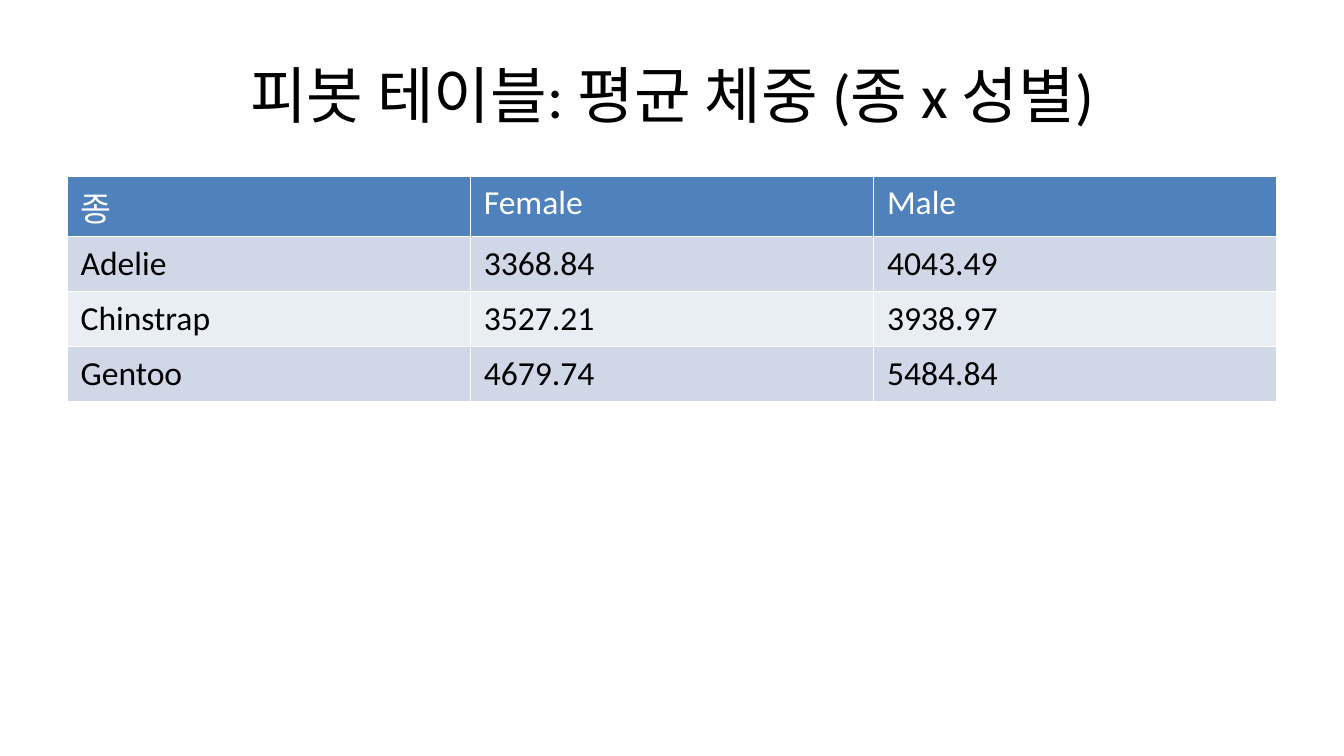
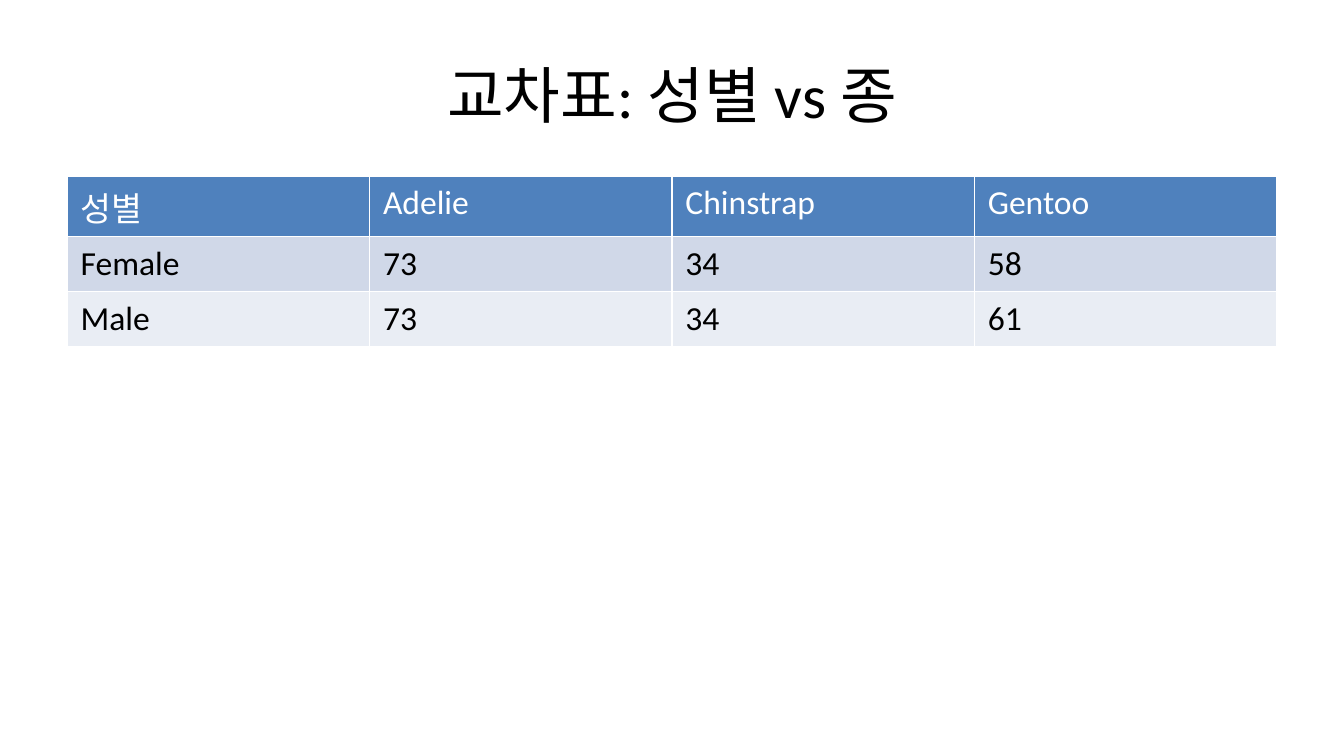
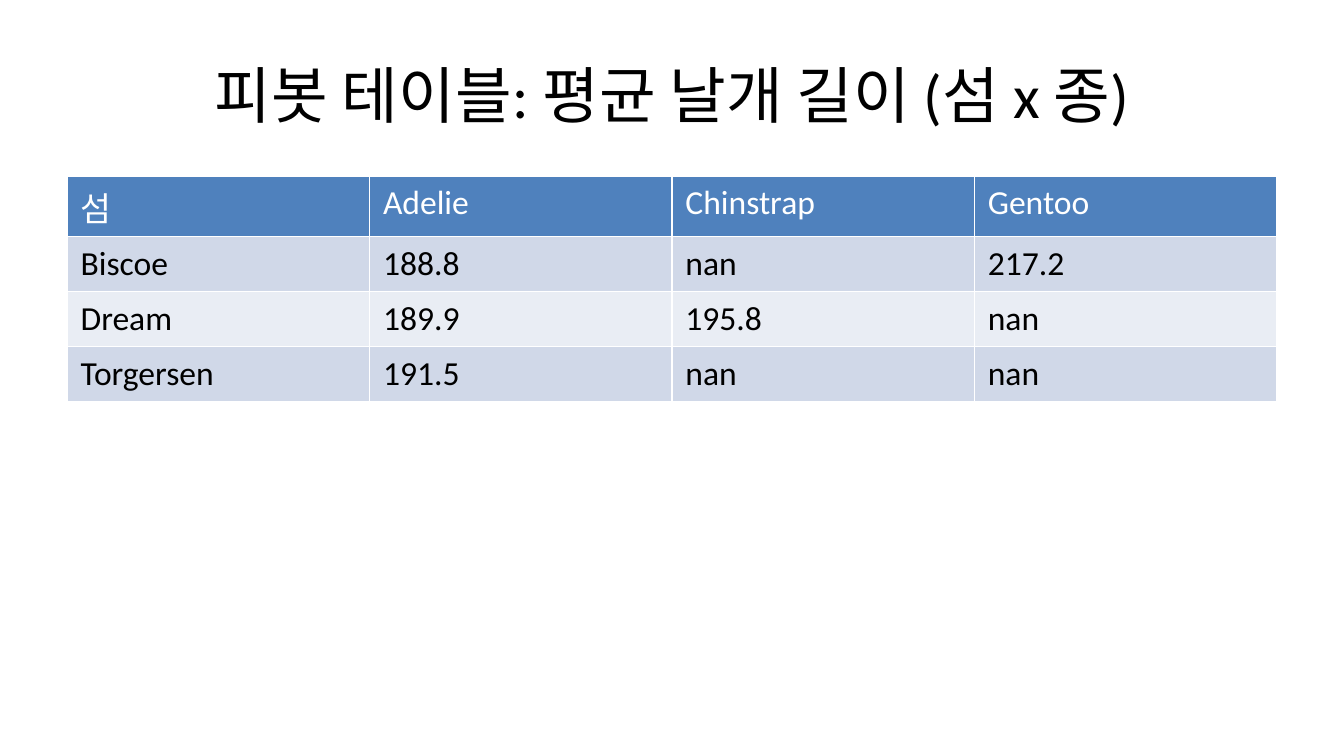
from dataclasses import dataclass

from pptx import Presentation
from pptx.dml.color import RGBColor
from pptx.enum.text import MSO_ANCHOR, PP_ALIGN
from pptx.util import Inches, Pt


@dataclass(frozen=True)
class Theme:
    font: str = "Calibri"
    title_size: int = 33
    table_size: int = 18
    text: str = "000000"
    header_text: str = "FFFFFF"
    header_fill: str = "4F81BD"
    band_fills: tuple = ("D0D8E8", "E9EDF4")


class DeckBuilder:
    LEFT, WIDTH = Inches(0.5), Inches(9)
    HEADER_HEIGHT, ROW_HEIGHT = Inches(0.45), Inches(0.41)

    def __init__(self, theme):
        self.theme = theme
        self.deck = Presentation()
        self.deck.slide_width = Inches(10)
        self.deck.slide_height = Inches(10) * 9 // 16
        self.page = None

    def add_page(self):
        blank_layout = self.deck.slide_layouts[6]
        self.page = self.deck.slides.add_slide(blank_layout)

    def style_text(self, para, size, color):
        for span in para.runs:
            span.font.name = self.theme.font
            span.font.size = Pt(size)
            span.font.bold = False
            span.font.color.rgb = RGBColor.from_string(color)

    def add_title(self, text):
        box = self.page.shapes.add_textbox(self.LEFT, Inches(0.23), self.WIDTH, Inches(0.94))
        frame = box.text_frame
        frame.word_wrap = True
        frame.vertical_anchor = MSO_ANCHOR.MIDDLE
        frame.text = text
        para = frame.paragraphs[0]
        para.alignment = PP_ALIGN.CENTER
        self.style_text(para, self.theme.title_size, self.theme.text)

    def add_table(self, rows):
        """Add a table of equal columns whose white rules come from the default table style."""
        height = Inches(3.71)
        holder = self.page.shapes.add_table(
            len(rows), len(rows[0]), self.LEFT, Inches(1.31), self.WIDTH, height
        )
        for row_index, values in enumerate(rows):
            row = holder.table.rows[row_index]
            row.height = self.ROW_HEIGHT if row_index else self.HEADER_HEIGHT
            for cell, value in zip(row.cells, values):
                self.fill_cell(cell, value, row_index)

    def fill_cell(self, cell, value, row_index):
        theme = self.theme
        if row_index == 0:
            fill, color = theme.header_fill, theme.header_text
        else:
            fill, color = theme.band_fills[(row_index - 1) % 2], theme.text
        cell.fill.solid()
        cell.fill.fore_color.rgb = RGBColor.from_string(fill)
        cell.text_frame.text = value
        self.style_text(cell.text_frame.paragraphs[0], theme.table_size, color)


SPECIES = ("Adelie", "Chinstrap", "Gentoo")

TABLE_PAGES = (
    ("피봇 테이블: 평균 체중 (종 x 성별)", (
        ("종", "Female", "Male"),
        ("Adelie", "3368.84", "4043.49"),
        ("Chinstrap", "3527.21", "3938.97"),
        ("Gentoo", "4679.74", "5484.84"),
    )),
    ("교차표: 성별 vs 종", (
        ("성별", *SPECIES),
        ("Female", "73", "34", "58"),
        ("Male", "73", "34", "61"),
    )),
    ("피봇 테이블: 평균 날개 길이 (섬 x 종)", (
        ("섬", *SPECIES),
        ("Biscoe", "188.8", "nan", "217.2"),
        ("Dream", "189.9", "195.8", "nan"),
        ("Torgersen", "191.5", "nan", "nan"),
    )),
)


def main():
    builder = DeckBuilder(Theme())
    for title, rows in TABLE_PAGES:
        builder.add_page()
        builder.add_title(title)
        builder.add_table(rows)
    builder.deck.save("out.pptx")


if __name__ == "__main__":
    main()
